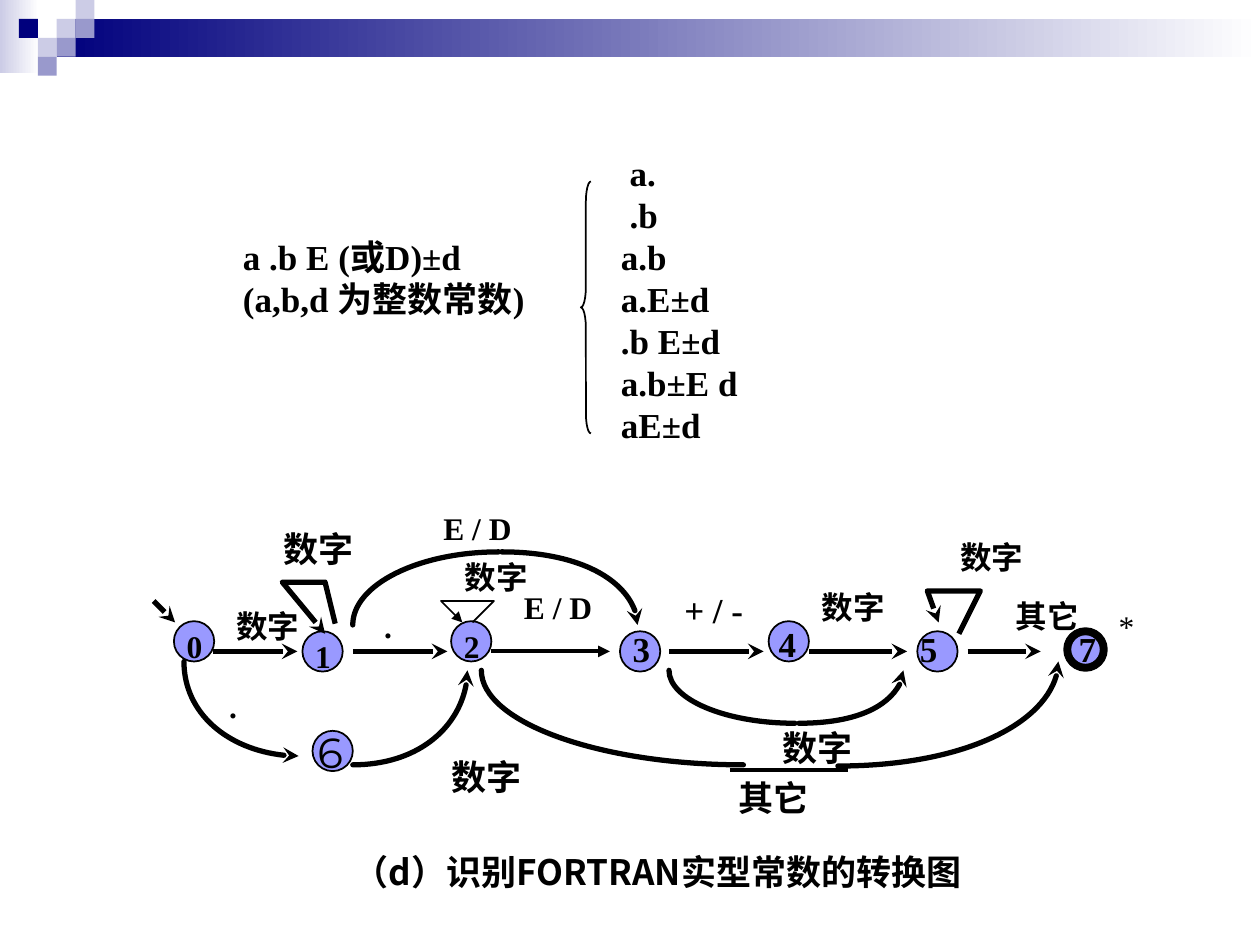
from pptx import Presentation
from pptx.dml.color import RGBColor
from pptx.enum.shapes import MSO_CONNECTOR, MSO_SHAPE
from pptx.enum.text import MSO_ANCHOR, PP_ALIGN
from pptx.oxml.ns import qn
from pptx.util import Inches, Pt
from lxml import etree

RECT, OVAL, BRACE = MSO_SHAPE.RECTANGLE, MSO_SHAPE.OVAL, MSO_SHAPE.LEFT_BRACE
LINE, TOP = MSO_CONNECTOR.STRAIGHT, MSO_ANCHOR.TOP
LEFT, MID = PP_ALIGN.LEFT, PP_ALIGN.CENTER
LATIN, HAN = "Times New Roman", "Noto Sans CJK SC"
INK, WHITE, NAVY, PALE, DUSK, NODE = (
    "000000", "FFFFFF", "00007D", "CCCCE6", "9999CC", "9999FF")
STEP, ROUND = 0.15, 0.55

BANDS = [((0, 0, 0.31, 0.58), PALE), ((0.45, 0.15, 9.55, 0.3), NAVY)]
TILES = [(3, 1, PALE), (4, 0, PALE), (4, 1, DUSK), (2, 2, PALE),
         (1, 1, NAVY), (3, 2, DUSK), (2, 3, DUSK)]
FORMS = [
    ("", " a."), ("", " .b"), ("a .b E (或D)±d", "a.b"),
    ("(a,b,d 为整数常数)", "a.E±d"), ("", ".b E±d"),
    ("", "a.b±E d"), ("", "aE±d"),
]
NODES = [
    (1.38, 4.93, 0.32, 1), (2.4, 5.01, 0.32, 1), (3.58, 4.93, 0.32, 1),
    (4.92, 5.01, 0.32, 1), (6.1, 4.93, 0.32, 1), (7.28, 5.01, 0.32, 1),
    (8.47, 5.01, 0.29, 4.5), (2.48, 5.8, 0.32, 1),
]
ARCS = [
    ((1.46, 5.25), (1.46, 6), (2.37, 6), "stealth"),
    ((2.8, 6.07), (3.71, 6.07), (3.71, 5.32), "stealth"),
    ((6.65, 6.08), (8.4, 6.08), (8.4, 5.25), "stealth"),
    ((3.82, 5.32), (3.82, 6.07), (5.9, 6.07), None),
    ((6.34, 5.74), (7.17, 5.74), (7.17, 5.32), "stealth"),
    ((5.31, 5.32), (5.31, 5.74), (6.31, 5.74), None),
    ((2.8, 4.96), (2.8, 4.38), (3.96, 4.38), None),
    ((3.98, 4.38), (5.06, 4.38), (5.06, 4.96), "stealth"),
]
LOOPS = [
    ([(3.75, 4.94), (3.92, 4.77), (3.5, 4.77), (3.67, 4.94)], 1, "triangle"),
    ([(7.61, 5.03), (7.78, 4.69), (7.36, 4.69), (7.45, 4.94)], 3, "stealth"),
    ([(2.66, 4.95), (2.58, 4.62), (2.24, 4.62), (2.58, 5.03)], 3, "stealth"),
]
EDGES = [
    (1.69, 5.17, 2.36, 5.17, 3, "stealth"),
    (2.8, 5.17, 3.55, 5.17, 3, "stealth"),
    (3.9, 5.17, 4.84, 5.17, 2.25, "triangle"),
    (5.31, 5.17, 6.06, 5.17, 3, "stealth"),
    (6.42, 5.17, 7.2, 5.17, 3, "stealth"),
    (7.68, 5.17, 8.26, 5.17, 3, "stealth"),
    (1.22, 4.77, 1.39, 4.94, 3, "stealth"),
    (5.79, 6.11, 6.73, 6.11, 2.25, None),
]
LABELS = [
    ("0", 1.38, 4.93, 0.33, 18), ("1", 2.4, 5.01, 0.33, 18),
    ("2", 3.58, 4.93, 0.33, 18), ("3", 4.92, 4.93, 0.34, 20),
    ("4", 6.08, 4.89, 0.34, 20), ("5", 7.2, 4.93, 0.34, 20),
    ("7", 8.46, 4.93, 0.34, 20), ("数字", 1.61, 4.77, 1.03, 18),
    (".", 2.95, 4.77, 0.26, 18), ("数字", 3.43, 4.38, 1.02, 18),
    (".", 1.72, 5.4, 0.26, 18), ("数字", 3.35, 5.95, 1.02, 20),
    ("其它", 5.55, 6.11, 1.18, 20), ("数字", 5.94, 5.72, 1.1, 20),
    ("E / D", 3.42, 3.99, 0.74, 18), ("E / D", 4.06, 4.62, 0.74, 18),
    ("数字", 6.26, 4.62, 1.02, 18), ("数字", 7.36, 4.22, 1.02, 18),
    ("其它", 7.84, 4.69, 0.94, 18), ("数字", 2.01, 4.14, 1.03, 20),
]

deck = Presentation()
deck.slide_width, deck.slide_height = Inches(10), Inches(7.5)
slide = deck.slides.add_slide(deck.slide_layouts[6])
shapes = slide.shapes


def tint(code):
    """Turn a hex string into a colour."""
    return RGBColor.from_string(code)


def write(lines, x, y, w, size=20, font=LATIN, bold=True, align=MID,
          wrap=False, framed=False, tabs=()):
    """Add a box with one paragraph per line."""
    box = (x, y, w, size / 60 * len(lines) + 0.1)
    if framed:
        item = block(RECT, box, width=3, hue=WHITE)
    else:
        item = shapes.add_textbox(*map(Inches, box))
    frame = item.text_frame
    frame.word_wrap, frame.vertical_anchor = wrap, TOP
    for i, line in enumerate(lines):
        para = frame.add_paragraph() if i else frame.paragraphs[0]
        para.alignment, para.line_spacing = align, Pt(size * 1.2)
        if tabs:
            stops = etree.SubElement(para._p.get_or_add_pPr(), qn("a:tabLst"))
            for tab in tabs:
                etree.SubElement(stops, qn("a:tab"), pos=str(Inches(tab)), algn="l")
        run = para.add_run()
        run.text = line
        run.font.size, run.font.bold = Pt(size), bold
        run.font.color.rgb = tint(INK)
        run.font.name = font
        etree.SubElement(run.font._element, qn("a:ea"), typeface=HAN)


def stroke(item, width, tip=None, hue=INK):
    """Set a line, with an arrowhead at its end if asked."""
    item.line.color.rgb, item.line.width = tint(hue), Pt(width)
    if tip:
        etree.SubElement(item.line._get_or_add_ln(), qn("a:tailEnd"), type=tip)


def block(kind, box, fill=None, width=0, hue=INK):
    """Add a preset shape."""
    item = shapes.add_shape(kind, *map(Inches, box))
    item.shadow.inherit = False
    if fill:
        item.fill.solid()
        item.fill.fore_color.rgb = tint(fill)
    else:
        item.fill.background()
    if width:
        stroke(item, width, hue=hue)
    else:
        item.line.fill.background()
    return item


def trace(points, width, tip):
    """Add an open outline through the points."""
    spots = [(Inches(x), Inches(y)) for x, y in points]
    pen = shapes.build_freeform(*spots[0])
    pen.add_line_segments(spots[1:], close=False)
    item = pen.convert_to_shape()
    item.shadow.inherit = False
    item.fill.background()
    stroke(item, width, tip)
    return item


def bend(points, tip):
    """Add a quarter ellipse that bulges to the middle point."""
    item = trace(points, 3, tip)
    item.line._get_or_add_ln().set("cap", "rnd")
    first, second = list(item._element.iter(qn("a:lnTo")))
    start, corner, end = [(int(p.get("x")), int(p.get("y")))
                          for p in item._element.iter(qn("a:pt"))]
    pulls = [[round(a + ROUND * (k - a)) for a, k in zip(spot, corner)]
             for spot in (start, end)]
    curve = etree.Element(qn("a:cubicBezTo"))
    for x, y in (*pulls, end):
        etree.SubElement(curve, qn("a:pt"), x=str(x), y=str(y))
    home = first.getparent()
    home.replace(first, curve)
    home.remove(second)


for box, hue in BANDS:
    band = block(RECT, box, hue)
    band.fill.gradient()
    band.fill.gradient_angle = 0
    for stop, code in zip(band.fill.gradient_stops, (hue, WHITE)):
        stop.color.rgb = tint(code)
for col, row, hue in TILES:
    block(RECT, (col * STEP, row * STEP, STEP, STEP), hue)
write([f"\t{a}\t{b}" for a, b in FORMS], 0.83, 1.15, 8.11, align=LEFT,
      wrap=True, framed=True, tabs=(1, 4))
brace = block(BRACE, (4.61, 1.44, 0.08, 2), width=1)
brace.adjustments[0] = 2
for x, y, size, width in NODES:
    block(OVAL, (x, y, size, size), NODE, width)
for *points, tip in ARCS:
    bend(points, tip)
write(["+ / -"], 5.33, 4.62, 0.67, framed=True)
for points, width, tip in LOOPS:
    trace(points, width, tip)
for *ends, width, tip in EDGES:
    edge = shapes.add_connector(LINE, *map(Inches, ends))
    stroke(edge, width, tip)
    etree.SubElement(edge._element.spPr, qn("a:effectLst"))
for text, x, y, w, size in LABELS:
    write([text], x, y, w, size)
write(["*"], 8.78, 4.77, 0.33, 18, bold=False, align=LEFT)
write(["6"], 2.42, 5.72, 0.39, 24, "Montserrat", bold=False, align=LEFT)
write(["（d）识别FORTRAN实型常数的转换图"], 2.65, 6.7, 5.14, font=HAN, wrap=True)
deck.save("out.pptx")
